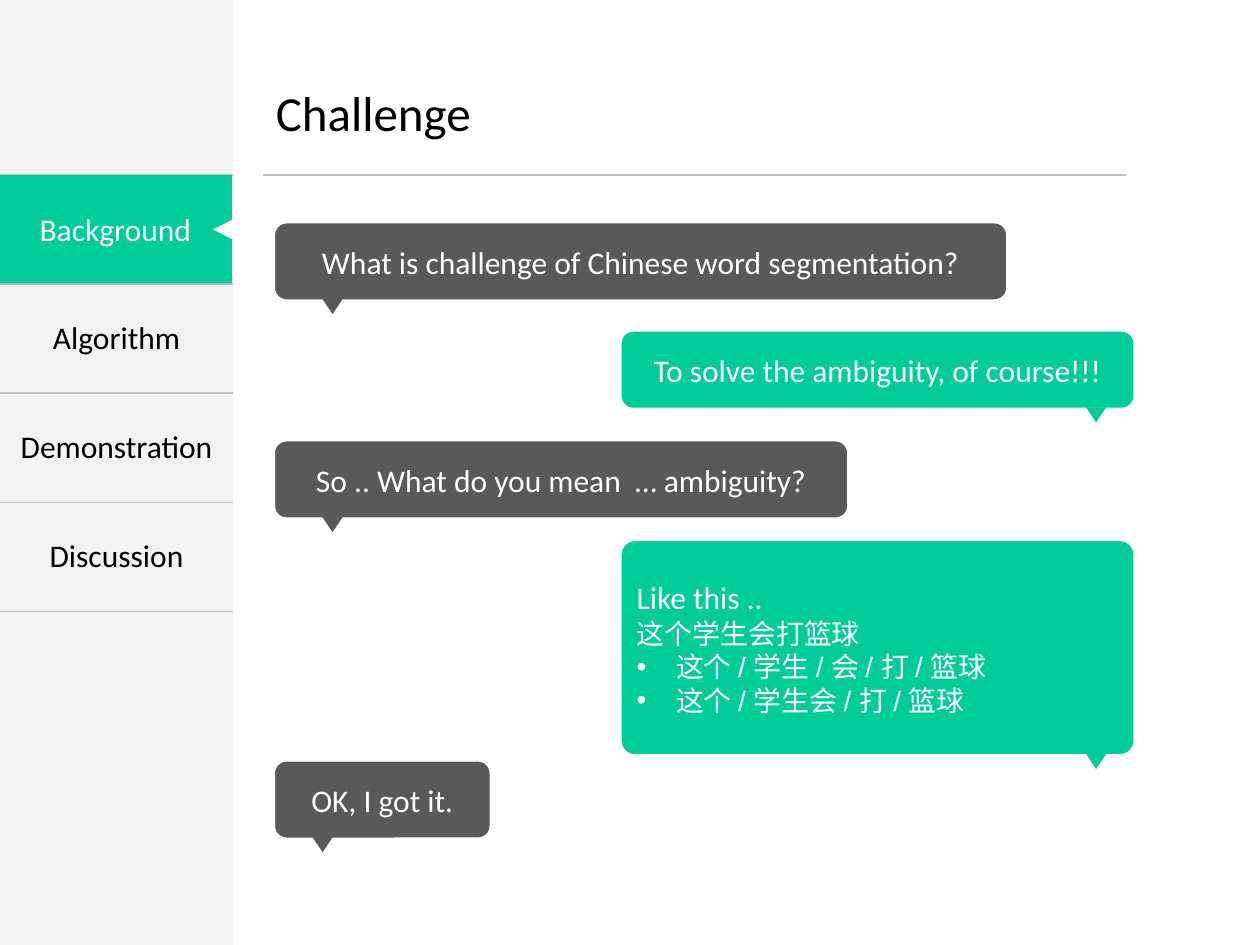
from lxml import etree
from pptx import Presentation
from pptx.dml.color import RGBColor
from pptx.enum.shapes import MSO_CONNECTOR, MSO_SHAPE
from pptx.enum.text import MSO_ANCHOR, MSO_AUTO_SIZE, PP_ALIGN
from pptx.oxml.ns import qn
from pptx.util import Pt

RECT, ROUND = MSO_SHAPE.RECTANGLE, MSO_SHAPE.ROUNDED_RECTANGLE
WEDGE = MSO_SHAPE.ISOSCELES_TRIANGLE
STRAIGHT = MSO_CONNECTOR.STRAIGHT
MIDDLE, NO_FIT = MSO_ANCHOR.MIDDLE, MSO_AUTO_SIZE.NONE
LEFT, CENTER = PP_ALIGN.LEFT, PP_ALIGN.CENTER

WHITE = RGBColor(0xFF, 0xFF, 0xFF)
BLACK = RGBColor(0, 0, 0)
PALE = RGBColor(0xF2, 0xF2, 0xF2)
RULE = RGBColor(0xBF, 0xBF, 0xBF)
GREEN = RGBColor(0, 0xCC, 0x99)
DARK = RGBColor(0x59, 0x59, 0x59)

BODY = {"name": "Calibri", "size": Pt(18)}
HEAD = {"name": "Calibri", "size": Pt(28)}
SAMPLE = {"name": "Arial", "size": Pt(16)}

TABS = ["Background", "Algorithm", "Demonstration", "Discussion"]
ASK_X, REPLY_X, REPLY_W, LOW = 156.2, 354.2, 294.5, 45.4
# box, colour, tail left, text
CHAT = [
    ((ASK_X, 126.7, 419.8, LOW), DARK, 184.3,
     "What is challenge of Chinese word segmentation?"),
    ((REPLY_X, 188.6, REPLY_W, LOW), GREEN, 620.6,
     "To solve the ambiguity, of course!!!"),
    ((ASK_X, 251.3, 329, LOW), DARK, 184.3,
     "So .. What do you mean  … ambiguity?"),
    ((REPLY_X, 308.2, REPLY_W, 123.8), GREEN, 620.6, None),
    ((ASK_X, 434.2, 124.6, LOW), DARK, 178.6, "OK, I got it."),
]
# text, font, bulleted
ANSWER = [
    ("Like this ..", BODY, False),
    ("这个学生会打篮球", SAMPLE, False),
    ("这个 / 学生 / 会 / 打 / 篮球", SAMPLE, True),
    ("这个 / 学生会 / 打 / 篮球", SAMPLE, True),
]


def points(box):
    return [Pt(v) for v in box]


def add_shape(slide, kind, box, fill, line=None):
    shape = slide.shapes.add_shape(kind, *points(box))
    shape.shadow.inherit = False
    shape.fill.solid()
    shape.fill.fore_color.rgb = fill
    if line is None:
        shape.line.fill.background()
    else:
        shape.line.color.rgb = line
        shape.line.width = Pt(2)
    return shape


def write(para, text, style, color, align=CENTER):
    para.alignment = align
    run = para.add_run()
    run.text = text
    for key, value in style.items():
        setattr(run.font, key, value)
    run.font.color.rgb = color


def add_bullet(para):
    props = para._p.get_or_add_pPr()
    props.set("marL", str(Pt(22.5)))
    props.set("indent", str(Pt(-22.5)))
    etree.SubElement(props, qn("a:buFont"), typeface="Arial")
    etree.SubElement(props, qn("a:buChar"), char="•")


def edge_cell(cell):
    """Rule the top and bottom of a cell and leave its sides open."""
    props = cell._tc.get_or_add_tcPr()
    for i, side in enumerate(["lnL", "lnR", "lnT", "lnB"]):
        edge = etree.Element(qn("a:" + side), w=str(Pt(1)))
        if side in ("lnT", "lnB"):
            fill = etree.SubElement(edge, qn("a:solidFill"))
            etree.SubElement(fill, qn("a:srgbClr"), val=str(RULE))
        else:
            etree.SubElement(edge, qn("a:noFill"))
        props.insert(i, edge)


def add_menu(slide, box, tabs):
    """Place the tab table, with the first tab marked as current."""
    x, y, w, h = box
    step = h / len(tabs)
    table = slide.shapes.add_table(len(tabs), 1, *points(box)).table
    table.first_row = table.horz_banding = False
    for i, name in enumerate(tabs):
        table.rows[i].height = Pt(step)
        cell = table.cell(i, 0)
        cell.fill.background()
        cell.vertical_anchor = MIDDLE
        edge_cell(cell)
        if i:
            write(cell.text_frame.paragraphs[0], name, BODY, BLACK)

    tab = add_shape(slide, RECT, (x - 0.7, y, w, step - 0.4), GREEN)
    tab.text_frame.vertical_anchor = MIDDLE
    write(tab.text_frame.paragraphs[0], tabs[0], BODY, WHITE)
    size = 11.5
    mark = add_shape(slide, WEDGE,
                     (x + w - size, y + (step - size) / 2, size, size), WHITE)
    mark.rotation = 270


def add_title(slide, box, text):
    title = slide.shapes.title
    title.left, title.top, title.width, title.height = points(box)
    frame = title.text_frame
    frame.auto_size = NO_FIT
    frame.vertical_anchor = MIDDLE
    write(frame.paragraphs[0], text, HEAD, BLACK, LEFT)


def add_rule(slide, x, y, w):
    line = slide.shapes.add_connector(STRAIGHT, *points((x, y, x + w, y)))
    line.line.color.rgb = RULE
    line.line.width = Pt(0.75)
    etree.SubElement(line._element.spPr, qn("a:effectLst"))


def add_bubble(slide, box, color, tail_x, text):
    """Place a speech bubble; without text it holds the worked answer."""
    x, y, w, h = box
    bubble = add_shape(slide, ROUND, box, color, WHITE)
    frame = bubble.text_frame
    frame.word_wrap = True
    frame.vertical_anchor = MIDDLE
    if text:
        write(frame.paragraphs[0], text, BODY, WHITE)
    else:
        bubble.adjustments[0] = 0.07
        for i, (line, style, listed) in enumerate(ANSWER):
            para = frame.add_paragraph() if i else frame.paragraphs[0]
            write(para, line, style, WHITE, LEFT)
            if listed:
                add_bullet(para)
    tail = add_shape(slide, WEDGE, (tail_x, y + h - 1.2, 11.5, 8.6), color)
    tail.rotation = 180


def main():
    deck = Presentation()
    deck.slide_width, deck.slide_height = Pt(720), Pt(540)
    slide = deck.slides.add_slide(deck.slide_layouts[5])
    add_shape(slide, RECT, (0, 0, 133.2, 540), PALE)
    add_rule(slide, 150.5, 100, 493.2)
    add_menu(slide, (0, 100, 133.2, 249.4), TABS)
    add_title(slide, (150.5, 43.2, 499, 41), "Challenge")
    for entry in CHAT:
        add_bubble(slide, *entry)
    deck.save("out.pptx")


if __name__ == "__main__":
    main()
